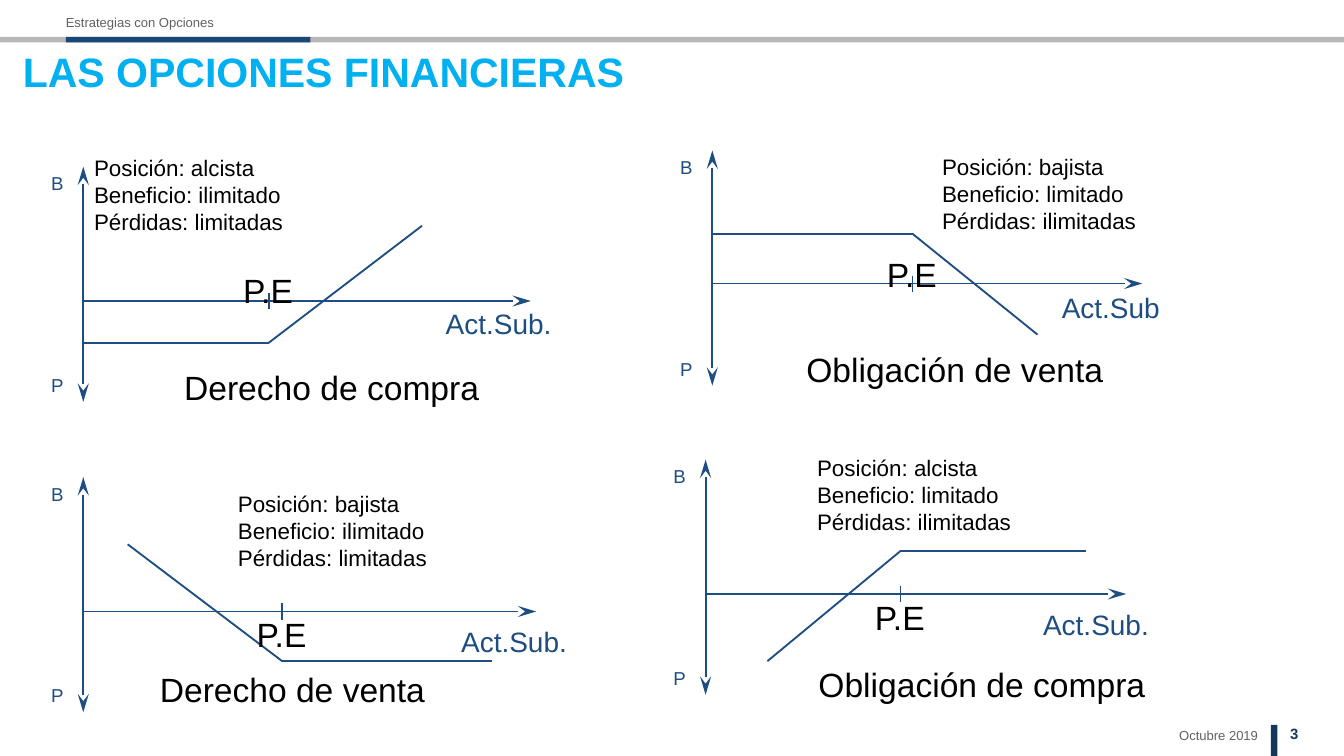
"""Builds a slide with the four basic option positions and their payoff lines."""
from itertools import pairwise

from lxml.etree import SubElement
from pptx import Presentation
from pptx.dml.color import RGBColor
from pptx.enum.shapes import MSO_CONNECTOR, MSO_SHAPE
from pptx.enum.text import MSO_ANCHOR, PP_ALIGN
from pptx.oxml.ns import qn
from pptx.util import Inches, Pt

COLS, ROWS = 100, 56.25
CELL = Inches(10) / COLS
TALL = 17.5

COLOR = {
    "gray": "B8B8B8", "band": "1B4777", "navy": "15375C", "axis": "1D4D81",
    "small": "626263", "black": "000000", "title": "00B0F0",
}
STYLE = {
    "title": ("title", {"size": Pt(22), "bold": True}),
    "small": ("small", {"size": Pt(7)}),
    "page": ("navy", {"size": Pt(8), "bold": True}),
    "end": ("axis", {"size": Pt(10)}),
    "asset": ("axis", {"size": Pt(15)}),
    "note": ("black", {"size": Pt(12)}),
    "name": ("black", {"size": Pt(18)}),
}
PAD = (0.8, 0.4)

PANELS = [
    {"at": (6.2, 12.4), "zero": 10, "span": 33.3, "asset": ("Act.Sub.", 30.9, 10),
     "note": ("alcista", "ilimitado", "limitadas", 0, -1.3),
     "name": ("Derecho de compra", 6.7, 14.5, 23.5), "mark": 7.3,
     "curve": [(0, 13.1), (13.8, 13.1), (25.2, 4.4)]},
    {"at": (53, 11.2), "zero": 9.9, "span": 32, "asset": ("Act.Sub", 29.65, 10),
     "note": ("bajista", "limitado", "ilimitadas", 16.3, -0.2),
     "name": ("Obligación de venta", 6.2, 14.4, 23.6), "mark": 7.3,
     "curve": [(0, 6.2), (14.9, 6.2), (24.2, 13.7)]},
    {"at": (6.2, 35.5), "zero": 10, "span": 33.7, "asset": ("Act.Sub.", 32.05, 10.6),
     "note": ("bajista", "ilimitado", "limitadas", 10.7, 0.6),
     "name": ("Derecho de venta", 4.9, 13.9, 21.3), "mark": 9.8,
     "curve": [(30.4, 13.7), (14.8, 13.7), (3.3, 5)]},
    {"at": (52.5, 34.2), "zero": 10, "span": 31.3, "asset": ("Act.Sub.", 29.05, 10.6),
     "note": ("alcista", "limitado", "ilimitadas", 7.5, -0.8),
     "name": ("Obligación de compra", 7.6, 14.8, 25.8), "mark": 9.8,
     "curve": [(28.3, 6.8), (14.5, 6.8), (4.6, 15)]},
]


def grid(*cells):
    """Turn grid cells into slide lengths."""
    return [round(cell * CELL) for cell in cells]


def tint(name):
    """Look up a colour by name."""
    return RGBColor.from_string(COLOR[name])


def write(frame, lines, style, align=PP_ALIGN.LEFT, pad=(0, 0)):
    """Fill a text frame with styled lines, open on the right when left-aligned."""
    side, edge = grid(*pad)
    setup = {"margin_left": side, "margin_top": edge, "margin_bottom": edge,
             "margin_right": 0 if align == PP_ALIGN.LEFT else side,
             "word_wrap": True, "vertical_anchor": MSO_ANCHOR.TOP}
    for key, value in setup.items():
        setattr(frame, key, value)
    frame.text = "\n".join(lines)
    color, fmt = STYLE[style]
    for para in frame.paragraphs:
        para.alignment = align
        for key, value in {"name": "Arial", **fmt}.items():
            setattr(para.font, key, value)
        para.font.color.rgb = tint(color)


def label(slide, box, lines, style, **opts):
    """Add a text box."""
    write(slide.shapes.add_textbox(*grid(*box)).text_frame, lines, style, **opts)


def bar(slide, box, color):
    """Add a plain filled bar."""
    shape = slide.shapes.add_shape(MSO_SHAPE.RECTANGLE, *grid(*box))
    shape.shadow.inherit = False
    shape.fill.solid()
    shape.fill.fore_color.rgb = tint(color)
    shape.line.fill.background()


def line(slide, start, end, tips=()):
    """Add a line with optional arrow tips."""
    link = slide.shapes.add_connector(MSO_CONNECTOR.STRAIGHT, *grid(*start, *end))
    link.line.color.rgb = tint("axis")
    link.line.width = Pt(1)
    for tip in tips:
        SubElement(link.line._get_or_add_ln(), qn(f"a:{tip}"),
                   type="stealth", w="med", len="lg")
    SubElement(link._element.spPr, qn("a:effectLst"))


def frame(slide):
    """Add the header, the title and the footer."""
    bar(slide, (0, 2.75, COLS, 0.4), "gray")
    bar(slide, (4.9, 2.75, 18.2, 0.4), "band")
    bar(slide, (94.55, 53.95, 0.5, 2.3), "navy")
    label(slide, (4.9, 1.05, 31.4, 1.2), ["Estrategias con Opciones"], "small")
    label(slide, (82.3, 54.1, 11.3, 1.2), ["Octubre 2019"], "small",
          align=PP_ALIGN.RIGHT)
    label(slide, (96, 53.9, 4, 1.3), ["3"], "page")
    title = slide.shapes.title
    title.left, title.top, title.width, title.height = grid(1.7, 3.45, 61.5, 3.7)
    write(title.text_frame, ["LAS OPCIONES FINANCIERAS"], "title")


def panel(slide, data):
    """Add one payoff diagram."""
    x, y = data["at"]
    base = y + data["zero"]
    line(slide, (x, y), (x, y + TALL), ("headEnd", "tailEnd"))
    line(slide, (x, base), (x + data["span"], base), ("tailEnd",))
    for text, drop in (("B", 0), ("P", 15)):
        label(slide, (x - 3.2, y + drop, 2.5, 2.4), [text], "end",
              align=PP_ALIGN.CENTER, pad=PAD)
    curve = [(x + dx, y + dy) for dx, dy in data["curve"]]
    for start, end in pairwise(curve):
        line(slide, start, end)
    strike = curve[1][0]
    line(slide, (strike, base - 0.6), (strike, base + 0.6))
    label(slide, (strike - 2.7, y + data["mark"], 5.6, 3.8), ["P.E"], "name",
          pad=PAD)
    text, mid, drop = data["asset"]
    label(slide, (x + mid - 5.6, y + drop, 11.2, 3.3), [text], "asset",
          align=PP_ALIGN.CENTER, pad=PAD)
    view, gain, loss, dx, dy = data["note"]
    notes = [f"Posición: {view}", f"Beneficio: {gain}", f"Pérdidas: {loss}"]
    label(slide, (x + dx, y + dy, 16, 6.8), notes, "note", pad=PAD)
    text, dx, dy, wide = data["name"]
    label(slide, (x + dx, y + dy, wide, 3.8), [text], "name", pad=PAD)


def main():
    """Build and save the slide."""
    deck = Presentation()
    deck.slide_width, deck.slide_height = grid(COLS, ROWS)
    slide = deck.slides.add_slide(deck.slide_layouts[5])
    frame(slide)
    for data in PANELS:
        panel(slide, data)
    deck.save("out.pptx")


if __name__ == "__main__":
    main()
